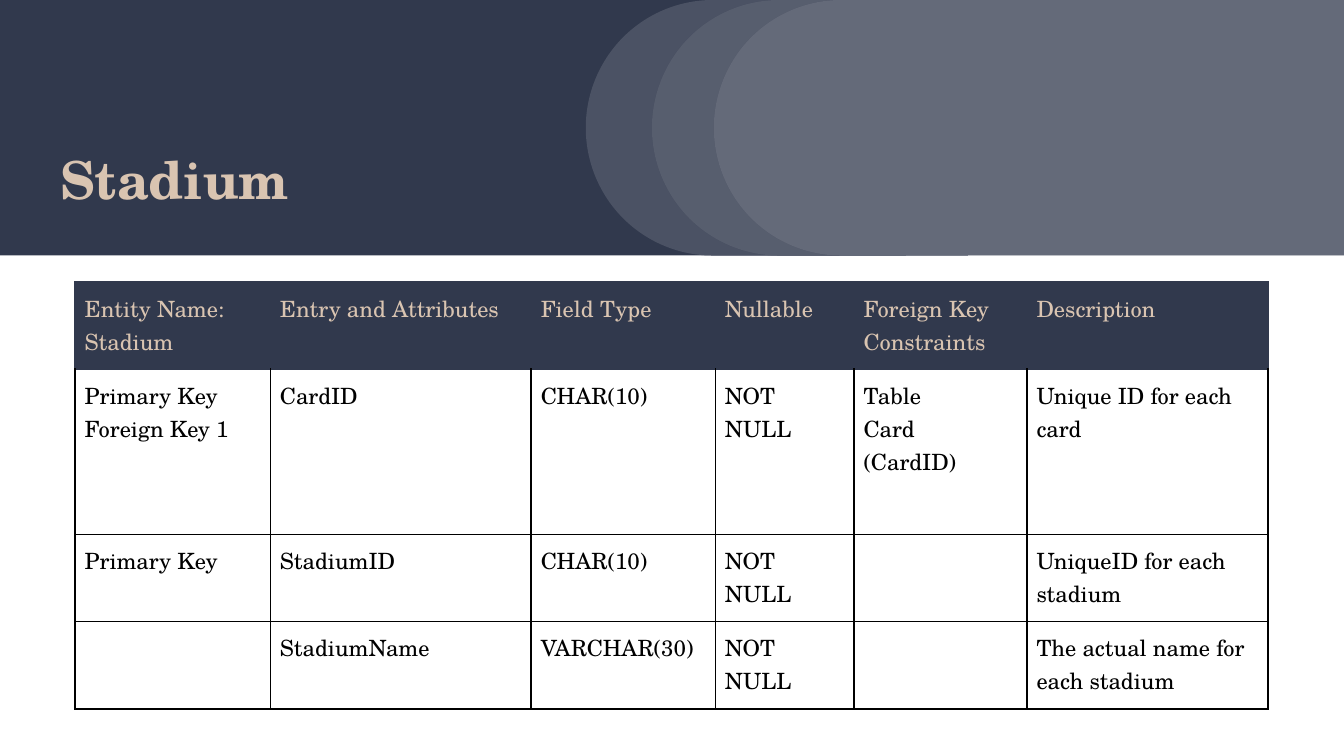
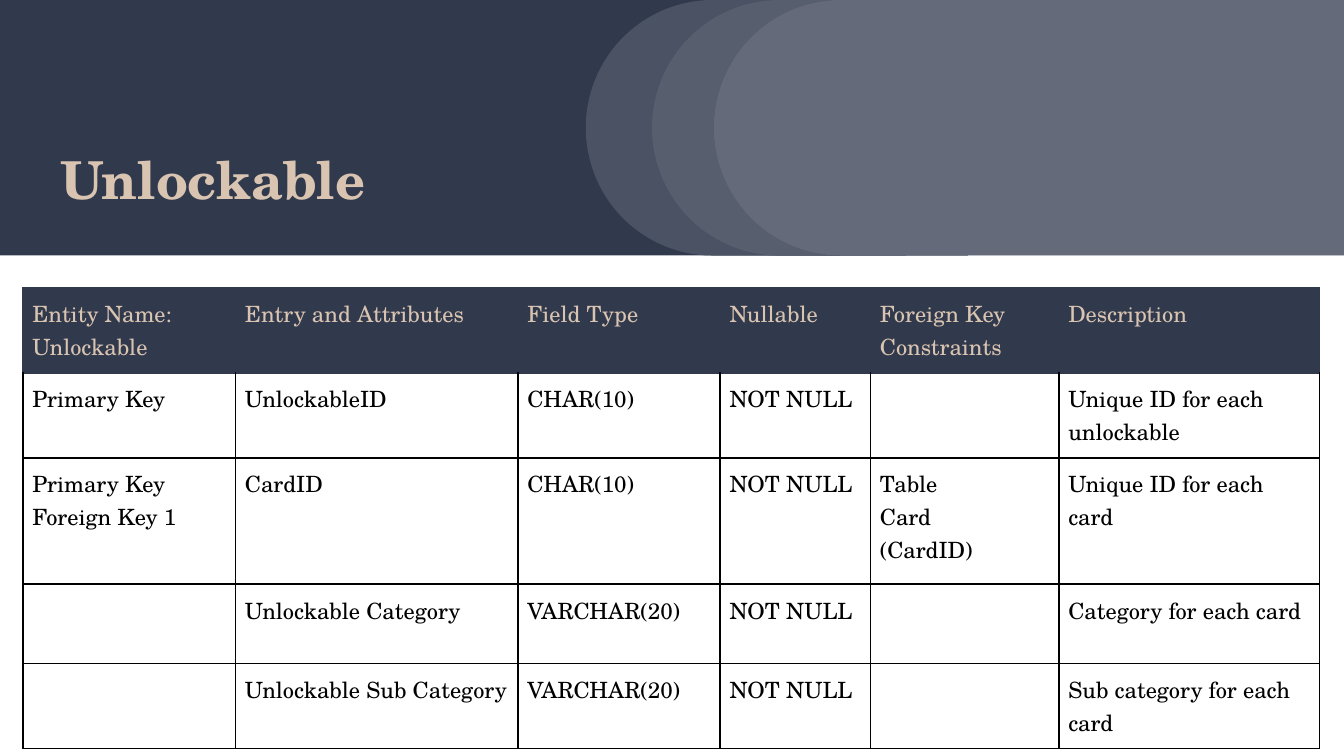
import pptx
import pptx.util
import pptx.dml.color
import pptx.enum.shapes
import pptx.enum.text
import pptx.oxml
import pptx.oxml.ns
import lxml.etree

Cm = pptx.util.Cm
Pt = pptx.util.Pt
SHAPE = pptx.enum.shapes.MSO_SHAPE

COLOURS = {"navy": "31394D", "sand": "D9C4B1", "white": "FFFFFF", "black": "000000"}
FONT = "TeX Gyre Schola"
SLIDE_WIDTH, SLIDE_HEIGHT = 25.4, 14.29
BAND_HEIGHT = 4.83
ARC_WIDTH = 4.8
ARCS = [(11.07, 13), (12.32, 19), (13.49, 25)]  # left edge, white opacity in percent
SIDES = ("left", "top", "right", "bottom")
HEADINGS = ["Entry and Attributes", "Field Type", "Nullable",
            "Foreign Key Constraints", "Description"]
CARD_KEY = ["Primary Key\nForeign Key 1", "CardID", "CHAR(10)", "NOT NULL",
            "Table\nCard\n(CardID)", "Unique ID for each card"]

ENTITIES = [
    {
        "name": "Stadium",
        "corner": (1.42, 5.33),
        "columns": [3.69, 4.93, 3.48, 2.62, 3.27, 4.55],
        "heights": [1.65, 3.12, 1.65, 1.65],
        "fields": [
            CARD_KEY,
            ["Primary Key", "StadiumID", "CHAR(10)", "NOT NULL", "",
             "UniqueID for each stadium"],
            ["", "StadiumName", "VARCHAR(30)", "NOT NULL", "",
             "The actual name for each stadium"],
        ],
    },
    {
        "name": "Unlockable",
        "corner": (0.43, 5.44),
        "columns": [4.02, 5.34, 3.82, 2.84, 3.56, 4.93],
        "heights": [1.5, 1.5, 2.39, 1.5, 1.5],
        "fields": [
            ["Primary Key", "UnlockableID", "CHAR(10)", "NOT NULL", "",
             "Unique ID for each unlockable"],
            CARD_KEY,
            ["", "Unlockable Category", "VARCHAR(20)", "NOT NULL", "",
             "Category for each card"],
            ["", "Unlockable Sub Category", "VARCHAR(20)", "NOT NULL", "",
             "Sub category for each card"],
        ],
    },
]


def rgb(colour):
    return pptx.dml.color.RGBColor.from_string(COLOURS[colour])


def assign(target, values):
    for name, value in values.items():
        setattr(target, name, value)


class EntityDeck:
    def __init__(self):
        self.deck = pptx.Presentation()
        assign(self.deck, {"slide_width": Cm(SLIDE_WIDTH), "slide_height": Cm(SLIDE_HEIGHT)})
        self.layout = self.deck.slide_layouts.get_by_name("Title Only")
        for holder in list(self.layout.placeholders):
            if holder.top > self.deck.slide_height:
                holder.element.getparent().remove(holder.element)
        self.page = None

    def add_page(self):
        self.page = self.deck.slides.add_slide(self.layout)

    def shape(self, kind, left, width, colour, opacity=100, rotation=0):
        box = self.page.shapes.add_shape(kind, Cm(left), 0, Cm(width), Cm(BAND_HEIGHT))
        box.rotation = rotation
        box.shadow.inherit = False
        box.line.fill.background()
        box.fill.solid()
        box.fill.fore_color.rgb = rgb(colour)
        if opacity < 100:
            tint = box.element.spPr.find(".//" + pptx.oxml.ns.qn("a:srgbClr"))
            lxml.etree.SubElement(tint, pptx.oxml.ns.qn("a:alpha"), val=str(opacity * 1000))
        return box

    def band(self):
        """Draw the shared header band and move it to the layout."""
        parts = [self.shape(SHAPE.RECTANGLE, 0, SLIDE_WIDTH, "navy"),
                 self.shape(SHAPE.RECTANGLE, 18.19, 7.21, "white", 25)]
        for left, opacity in ARCS:
            for colour, strength in (("navy", 100), ("white", opacity)):
                parts.append(self.shape(SHAPE.FLOWCHART_DELAY, left, ARC_WIDTH,
                                        colour, strength, 180))
        first = self.layout.placeholders[0].element
        for part in parts:
            first.addprevious(part.element)

    def fill_text(self, frame, text, size, colour, bold=False):
        frame.text = text
        for para in frame.paragraphs:
            para.alignment = pptx.enum.text.PP_ALIGN.LEFT
            for span in para.runs:
                assign(span.font, {"name": FONT, "size": Pt(size), "bold": bold})
                span.font.color.rgb = rgb(colour)

    def title(self, text):
        box = self.page.shapes.title
        assign(box, {"left": Cm(0.89), "top": Cm(0.41), "width": Cm(9.88), "height": Cm(3.81)})
        frame = box.text_frame
        assign(frame, {"vertical_anchor": pptx.enum.text.MSO_ANCHOR.BOTTOM, "word_wrap": True,
                       "auto_size": pptx.enum.text.MSO_AUTO_SIZE.NONE})
        assign(frame, {"margin_" + side: Cm(0.25) for side in SIDES})
        self.fill_text(frame, text, 28, "sand", True)

    def borders(self, cell, row):
        for side in "LRTB":
            navy = row == 0 or (row == 1 and side == "T")
            colour = COLOURS["navy" if navy else "black"]
            cell._tc.get_or_add_tcPr().append(pptx.oxml.parse_xml(
                f'<a:ln{side} {pptx.oxml.ns.nsdecls("a")} w="{Pt(1)}"><a:solidFill>'
                f'<a:srgbClr val="{colour}"/></a:solidFill></a:ln{side}>'))

    def table(self, corner, columns, heights, rows):
        left, top = corner
        table = self.page.shapes.add_table(
            len(rows), len(columns), Cm(left), Cm(top),
            Cm(sum(columns)), Cm(sum(heights))).table
        assign(table, {"first_row": False, "horz_banding": False})
        for column, width in zip(table.columns, columns):
            column.width = Cm(width)
        for line, height in zip(table.rows, heights):
            line.height = Cm(height)
        for row, texts in enumerate(rows):
            for column, text in enumerate(texts):
                cell = table.cell(row, column)
                assign(cell, {"margin_" + side: Cm(0.18) for side in SIDES})
                self.borders(cell, row)
                if row == 0:
                    cell.fill.solid()
                    cell.fill.fore_color.rgb = rgb("navy")
                else:
                    cell.fill.background()
                self.fill_text(cell.text_frame, text, 12, "black" if row else "sand")


def main():
    show = EntityDeck()
    for number, entity in enumerate(ENTITIES):
        show.add_page()
        if number == 0:
            show.band()
        # Entity name and its data dictionary
        show.title(entity["name"])
        header = ["Entity Name: " + entity["name"]] + HEADINGS
        show.table(entity["corner"], entity["columns"], entity["heights"],
                   [header] + entity["fields"])
    show.deck.save("out.pptx")


if __name__ == "__main__":
    main()
